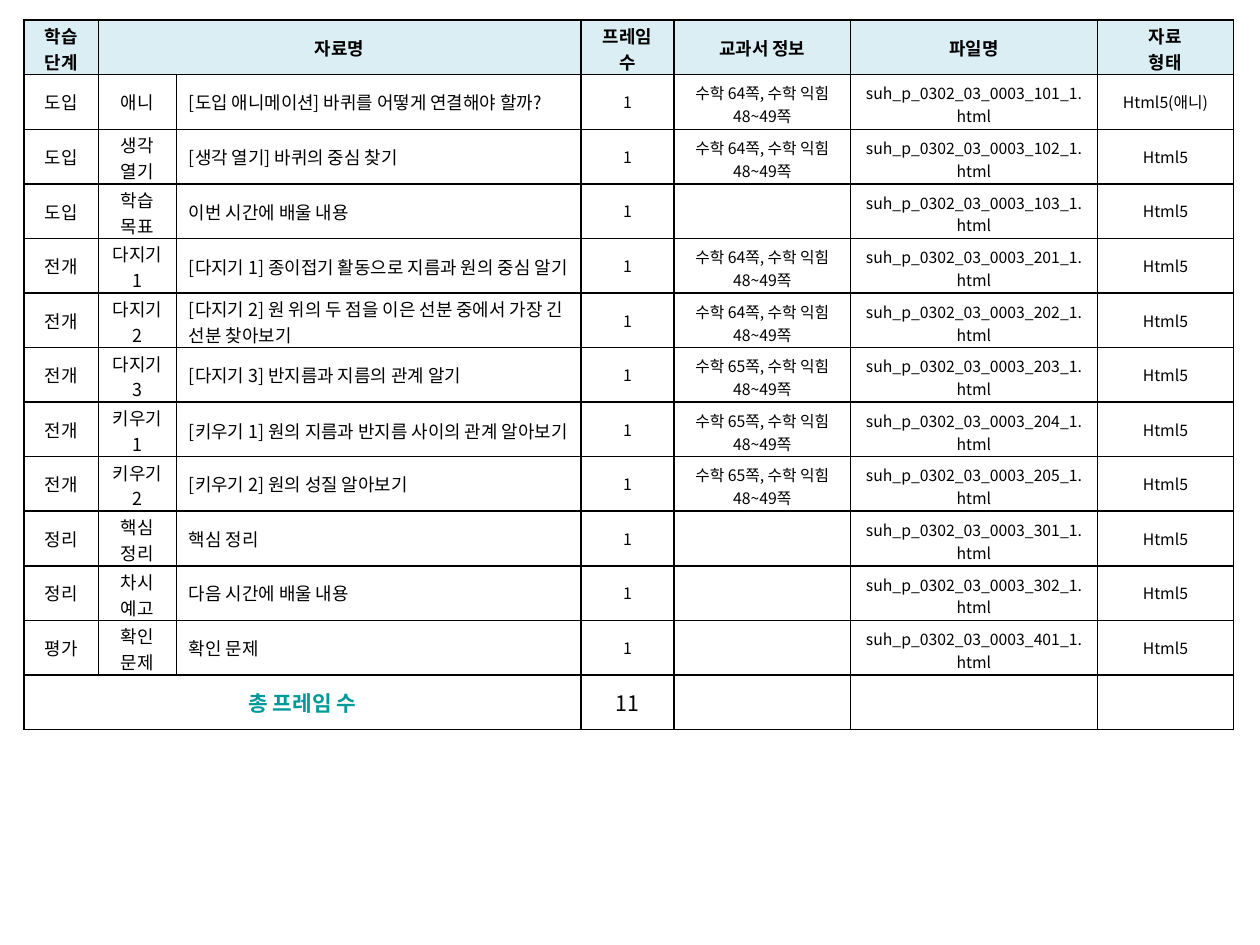
from lxml import etree
from pptx import Presentation
from pptx.dml.color import RGBColor
from pptx.enum.text import MSO_ANCHOR, PP_ALIGN
from pptx.oxml.ns import qn
from pptx.util import Inches, Pt

CENTER, LEFT = PP_ALIGN.CENTER, PP_ALIGN.LEFT
MIDDLE = MSO_ANCHOR.MIDDLE
FONT = "Noto Sans CJK KR"
COLORS = {"text": "000000", "header": "DBEEF4", "body": "FFFFFF",
          "total": "009999", "border": "000000"}

# Content
HEADER = ["학습 단계", "자료명", "", "프레임 수", "교과서 정보", "파일명", "자료\n형태"]
PAGES_64 = "수학 64쪽, 수학 익힘 48~49쪽"
PAGES_65 = "수학 65쪽, 수학 익힘 48~49쪽"
# stage, step, title, textbook pages, file number, file type
LESSONS = [
    ("도입", "애니", "[도입 애니메이션] 바퀴를 어떻게 연결해야 할까?", PAGES_64, 101, "Html5(애니)"),
    ("도입", "생각 열기", "[생각 열기] 바퀴의 중심 찾기", PAGES_64, 102, "Html5"),
    ("도입", "학습 목표", "이번 시간에 배울 내용", "", 103, "Html5"),
    ("전개", "다지기 1", "[다지기 1] 종이접기 활동으로 지름과 원의 중심 알기", PAGES_64, 201, "Html5"),
    ("전개", "다지기 2", "[다지기 2] 원 위의 두 점을 이은 선분 중에서 가장 긴 선분 찾아보기",
     PAGES_64, 202, "Html5"),
    ("전개", "다지기 3", "[다지기 3] 반지름과 지름의 관계 알기", PAGES_65, 203, "Html5"),
    ("전개", "키우기1", "[키우기 1] 원의 지름과 반지름 사이의 관계 알아보기", PAGES_65, 204, "Html5"),
    ("전개", "키우기2", "[키우기 2] 원의 성질 알아보기", PAGES_65, 205, "Html5"),
    ("정리", "핵심 정리", "핵심 정리", "", 301, "Html5"),
    ("정리", "차시 예고", "다음 시간에 배울 내용", "", 302, "Html5"),
    ("평가", "확인 문제", "확인 문제", "", 401, "Html5"),
]
TOTAL = ["총 프레임 수", "", "", str(len(LESSONS)), "", "", ""]

# Layout
LEFT_EDGE, TOP_EDGE, TABLE_HEIGHT = 0.19, 0.16, 5.63
COLUMN_WIDTHS = [0.59, 0.62, 3.21, 0.74, 1.4, 1.96, 1.08]
BODY_SIZES = [10.2, 10.2, 10.2, 9, 9, 9, 9]
HEADER_CAPACITY = [2, 28, 28, 3, 10, 20, 10]  # characters on one line
BODY_CAPACITY = [2, 2, 28, 3, 10, 20, 10]
TITLE_COLUMN = 2


def write_cell(cell, text, size=10.2, color="text", bold=False, align=CENTER,
               fill="body", capacity=28):
    cell.fill.solid()
    cell.fill.fore_color.rgb = RGBColor.from_string(COLORS[fill])
    cell.vertical_anchor = MIDDLE
    # Two-line cells get tight margins so that every row keeps its height
    if "\n" in text or len(text) > capacity:
        cell.margin_top = Inches(0.02 if size > 9 else 0.05)
        cell.margin_bottom = Inches(0 if size > 9 else 0.01)
    cell.text = text
    for para in cell.text_frame.paragraphs:
        para.alignment = align
        if not para.runs:
            para.font.size = Pt(size)
        for span in para.runs:
            span.font.size = Pt(size)
            span.font.bold = bold
            span.font.name = FONT
            span.font.color.rgb = RGBColor.from_string(COLORS[color])
            east_asian = etree.SubElement(span.font._element, qn("a:ea"))
            east_asian.set("typeface", FONT)


def add_borders(cell):
    properties = cell._tc.get_or_add_tcPr()
    for index, side in enumerate(("a:lnL", "a:lnR", "a:lnT", "a:lnB")):
        line = etree.Element(qn(side), w=str(Pt(1)))
        fill = etree.SubElement(line, qn("a:solidFill"))
        etree.SubElement(fill, qn("a:srgbClr"), val=COLORS["border"])
        properties.insert(index, line)


def main():
    deck = Presentation()
    deck.slide_width, deck.slide_height = Inches(10), Inches(7.5)
    page = deck.slides.add_slide(deck.slide_layouts[6])

    # Table grid
    row_count = len(LESSONS) + 2
    table = page.shapes.add_table(
        row_count, len(COLUMN_WIDTHS), Inches(LEFT_EDGE), Inches(TOP_EDGE),
        Inches(sum(COLUMN_WIDTHS)), Inches(TABLE_HEIGHT)).table
    for column, width in zip(table.columns, COLUMN_WIDTHS):
        column.width = Inches(width)
    for row in table.rows:
        row.height = Inches(TABLE_HEIGHT / row_count)

    # Header row
    for column, (text, capacity) in enumerate(zip(HEADER, HEADER_CAPACITY)):
        write_cell(table.cell(0, column), text, bold=True, fill="header",
                   capacity=capacity)

    # Lesson rows
    for row, (stage, step, title, pages, number, kind) in enumerate(LESSONS, start=1):
        file_name = f"suh_p_0302_03_0003_{number}_1.html"
        texts = [stage, step, title, "1", pages, file_name, kind]
        for column, (text, size, capacity) in enumerate(
                zip(texts, BODY_SIZES, BODY_CAPACITY)):
            align = LEFT if column == TITLE_COLUMN else CENTER
            write_cell(table.cell(row, column), text, size=size, align=align,
                       capacity=capacity)

    # Total row
    last = row_count - 1
    for column, text in enumerate(TOTAL):
        is_label = column == 0
        write_cell(table.cell(last, column), text, size=12.2, bold=is_label,
                   color="total" if is_label else "text")

    # Borders and merged cells
    for cell in table.iter_cells():
        add_borders(cell)
    table.cell(0, 1).merge(table.cell(0, 2))
    table.cell(last, 0).merge(table.cell(last, 2))

    deck.save("out.pptx")


if __name__ == "__main__":
    main()
